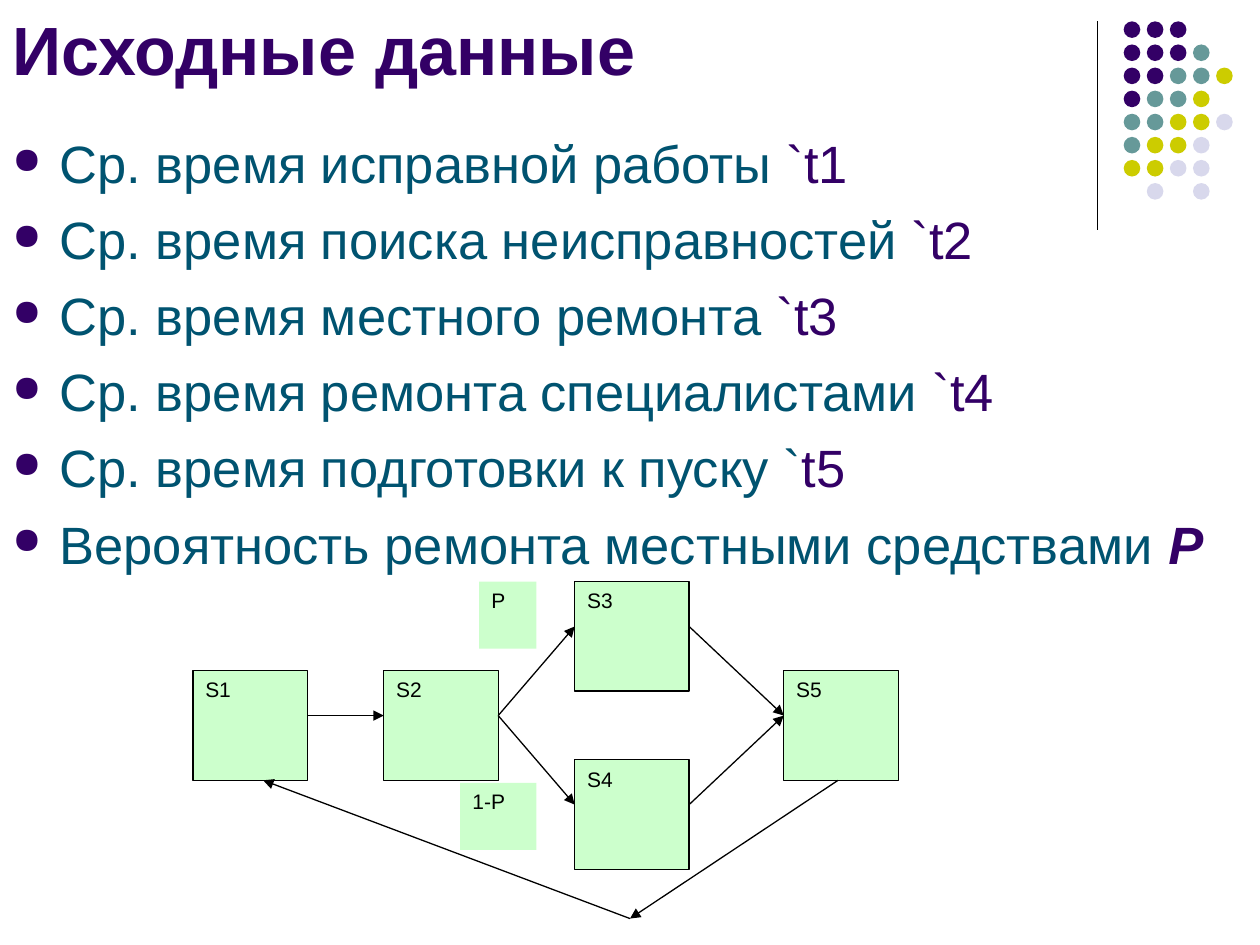
import pptx
import pptx.util
import pptx.dml.color
import pptx.enum.shapes
import pptx.enum.text
import pptx.oxml.ns
import lxml.etree

Pt = pptx.util.Pt
KIND = pptx.enum.shapes.MSO_SHAPE
DARK, TEAL, GREEN, BLACK = "330066", "005370", "CCFFCC", "000000"


def color(code):
    """Turn a hex string into a colour."""
    return pptx.dml.color.RGBColor.from_string(code)


def child(node, tag, **attrs):
    """Add a DrawingML element to a node."""
    return lxml.etree.SubElement(node, pptx.oxml.ns.qn("a:" + tag), **attrs)


def write(para, text, size, code, bold=False, slant=False):
    """Add one run to a paragraph."""
    run = para.add_run()
    run.text = text
    font = run.font
    font.name, font.size, font.bold, font.italic = "Arial", Pt(size), bold, slant
    font.color.rgb = color(code)


def link(slide, start, end, arrow=True):
    """Draw a thin black line, with or without an arrowhead."""
    line = slide.shapes.add_connector(
        pptx.enum.shapes.MSO_CONNECTOR.STRAIGHT, *map(Pt, start + end))
    line.line.color.rgb = color(BLACK)
    line.line.width = Pt(0.75)
    if arrow:
        child(line.line._get_or_add_ln(), "tailEnd", type="triangle")
    child(line._element.spPr, "effectLst")


def shape(slide, kind, box, fill, edge=False):
    """Draw a filled preset shape."""
    item = slide.shapes.add_shape(kind, *map(Pt, box))
    item.shadow.inherit = False
    item.fill.solid()
    item.fill.fore_color.rgb = color(fill)
    if edge:
        item.line.color.rgb = color(BLACK)
        item.line.width = Pt(0.75)
    else:
        item.line.fill.background()
    return item


def block(slide, box, text, edge=True):
    """Draw a green box with its label at top left."""
    frame = shape(slide, KIND.RECTANGLE, box, GREEN, edge).text_frame
    frame.vertical_anchor = pptx.enum.text.MSO_ANCHOR.TOP
    para = frame.paragraphs[0]
    para.alignment = pptx.enum.text.PP_ALIGN.LEFT
    write(para, text, 12, BLACK)


def dots(slide, left, top):
    """Draw the corner rule and its pattern of dots."""
    link(slide, (left, top), (left, top + 119.5), arrow=False)
    tints = {"d": DARK, "t": "669999", "y": "CCCC00", "l": "D8D8EC"}
    rows = ("ddd", "dddt", "ddtty", "dtty", "ttyyl", "tyyl", "yyll", " l l")
    for row, marks in enumerate(rows):
        for col, mark in enumerate(marks):
            if mark in tints:
                box = (left + 15.1 + 13.2 * col, top + 13.2 * row, 9.5, 9.5)
                shape(slide, KIND.OVAL, box, tints[mark])


def title(slide, box):
    """Place the heading."""
    frame = slide.shapes.add_textbox(*map(Pt, box)).text_frame
    frame.word_wrap = True
    frame.vertical_anchor = pptx.enum.text.MSO_ANCHOR.BOTTOM
    write(frame.paragraphs[0], "Исходные данные", 39, DARK, bold=True)


def points(slide, box):
    """Place the bulleted list of input data."""
    items = (
        ("Ср. время исправной работы ", "`t1"),
        ("Ср. время поиска неисправностей ", "`t2"),
        ("Ср. время местного ремонта ", "`t3"),
        ("Ср. время ремонта специалистами ", "`t4"),
        ("Ср. время подготовки к пуску `", "t5"),
        ("Вероятность ремонта местными средствами ", "Р"),
    )
    frame = slide.shapes.add_textbox(*map(Pt, box)).text_frame
    frame.word_wrap = True
    for num, (text, sign) in enumerate(items):
        para = frame.add_paragraph() if num else frame.paragraphs[0]
        para.space_before = Pt(7.5)
        props = para._p.get_or_add_pPr()
        props.set("marL", str(Pt(27)))
        props.set("indent", str(Pt(-27)))
        child(child(props, "buClr"), "srgbClr", val=DARK)
        child(props, "buSzPct", val="70000")
        child(props, "buChar", char="●")
        write(para, text, 30, TEAL)
        last = sign == "Р"
        write(para, sign, 30, DARK, bold=last, slant=last)


def graph(slide, left, top):
    """Draw the states and the moves between them."""
    wide, high, port = 65.4, 62.6, 25.6
    step, drop = 109.1, 50.9
    spots = {"S1": (0, drop), "S2": (step, drop), "S4": (2 * step, 2 * drop),
             "S3": (2 * step, 0), "S5": (337.7, drop)}
    spots = {name: (left + x, top + y) for name, (x, y) in spots.items()}
    for name, spot in spots.items():
        block(slide, spot + (wide, high), name)
    for pair in ("S1 S2", "S2 S3", "S2 S4", "S3 S5", "S4 S5"):
        (ax, ay), (bx, by) = (spots[name] for name in pair.split())
        link(slide, (ax + wide, ay + port), (bx, by + port))
    block(slide, (left + 163.6, top, 32.7, 38.3), "P", edge=False)
    block(slide, (left + 152.7, top + 114.9, 43.6, 38.3), "1-P", edge=False)
    base, turn = top + drop + high, (left + 249.8, top + 192.5)
    link(slide, (left + 368.7, base), turn)
    link(slide, turn, (left + 40.2, base))


def main():
    """Build and save the slide."""
    deck = pptx.Presentation()
    deck.slide_width, deck.slide_height = Pt(720), Pt(540)
    slide = deck.slides.add_slide(deck.slide_layouts[6])
    dots(slide, 627, 12.2)
    title(slide, (0, 0, 405.4, 54.7))
    points(slide, (0, 71.3, 720, 453.6))
    graph(slide, 110.2, 332.4)
    deck.save("out.pptx")


if __name__ == "__main__":
    main()
